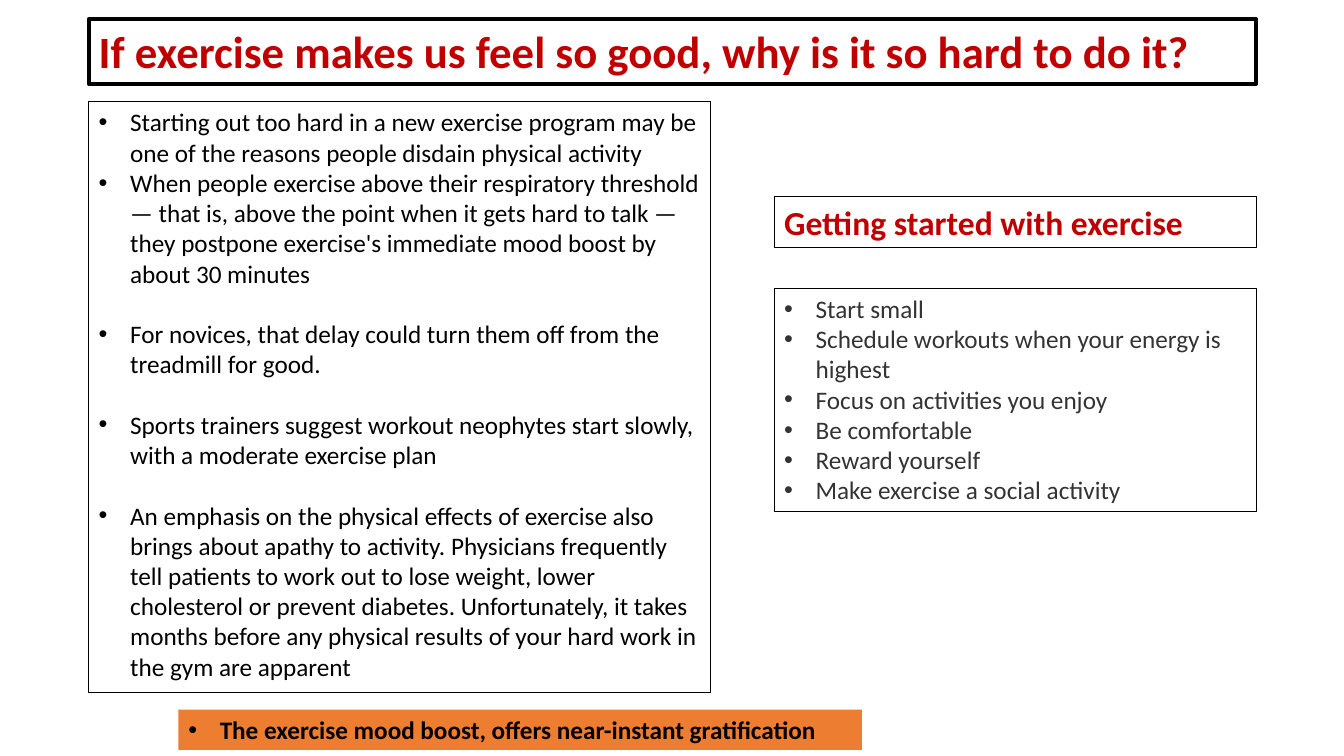
from lxml.etree import SubElement
from pptx import Presentation
from pptx.dml.color import RGBColor
from pptx.enum.shapes import MSO_SHAPE as Preset
from pptx.enum.text import MSO_ANCHOR as Anchor, MSO_AUTO_SIZE as AutoSize, PP_ALIGN as Align
from pptx.oxml.ns import qn
from pptx.util import Pt

BLACK, RED, GREY, ORANGE = "000000", "C00000", "333333", "ED7D31"
LEFT, RIGHT_COLUMN, RIGHT_WIDTH = 63.4, 553, 344.2


def color(value):
    return RGBColor.from_string(value)


def apply(target, values):
    for name, value in values.items():
        setattr(target, name, value)


class ExerciseSlide:
    font = "Calibri"
    indent = 22.5
    frame = {"word_wrap": True, "auto_size": AutoSize.SHAPE_TO_FIT_TEXT,
             "vertical_anchor": Anchor.TOP}

    def __init__(self, deck):
        self.slide = deck.slides.add_slide(deck.slide_layouts[6])

    def box(self, left, top, width, height, border=0.75, fill=None):
        panel = self.slide.shapes.add_shape(
            Preset.RECTANGLE, Pt(left), Pt(top), Pt(width), Pt(height))
        panel.shadow.inherit = False
        if fill:
            panel.fill.solid()
            panel.fill.fore_color.rgb = color(fill)
            panel.line.fill.background()
        else:
            panel.fill.background()
            panel.line.color.rgb = color(BLACK)
            panel.line.width = Pt(border)
        apply(panel.text_frame, self.frame)
        return panel.text_frame

    def wording(self, paragraph, text, size, ink, bold):
        paragraph.alignment = Align.LEFT
        run = paragraph.add_run()
        run.text = text
        apply(run.font, {"name": self.font, "size": Pt(size), "bold": bold})
        run.font.color.rgb = color(ink)

    def heading(self, text, size, *place, border=0.75):
        frame = self.box(*place, border=border)
        self.wording(frame.paragraphs[0], text, size, RED, True)

    def bullets(self, points, *place, ink=BLACK, bold=False, fill=None, spaced=()):
        frame = self.box(*place, fill=fill)
        for index, point in enumerate(points):
            paragraph = frame.add_paragraph() if index else frame.paragraphs[0]
            self.wording(paragraph, point, 18, ink, bold)
            if index in spaced:
                paragraph.space_before = Pt(21.6)
            self.bullet(paragraph)

    def bullet(self, paragraph):
        properties = paragraph._p.get_or_add_pPr()
        properties.set("marL", str(Pt(self.indent)))
        properties.set("indent", str(-Pt(self.indent)))
        SubElement(properties, qn("a:buFont")).set("typeface", "Arial")
        SubElement(properties, qn("a:buChar")).set("char", "•")


def main():
    deck = Presentation()
    apply(deck, {"slide_width": Pt(960), "slide_height": Pt(540)})
    page = ExerciseSlide(deck)

    reasons = [
        "Starting out too hard in a new exercise program may be one of the reasons "
        "people disdain physical activity",
        "When people exercise above their respiratory threshold — that is, above the "
        "point when it gets hard to talk — they postpone exercise's immediate mood "
        "boost by about 30 minutes",
        "For novices, that delay could turn them off from the treadmill for good.",
        "Sports trainers suggest workout neophytes start slowly, with a moderate "
        "exercise plan",
        "An emphasis on the physical effects of exercise also brings about apathy to "
        "activity. Physicians frequently tell patients to work out to lose weight, "
        "lower cholesterol or prevent diabetes. Unfortunately, it takes months before "
        "any physical results of your hard work in the gym are apparent",
    ]
    tips = [
        "Start small",
        "Schedule workouts when your energy is highest",
        "Focus on activities you enjoy",
        "Be comfortable",
        "Reward yourself",
        "Make exercise a social activity",
    ]

    page.bullets(reasons, LEFT, 72.7, 444.2, 421.9, spaced=(2, 3, 4))
    page.bullets(["The exercise mood boost, offers near-instant gratification"],
                 127.4, 506.9, 488.2, 28.8, bold=True, fill=ORANGE)
    page.heading("If exercise makes us feel so good, why is it so hard to do it?", 32,
                 LEFT, 13.7, 833.8, 46.1, border=3)
    page.heading("Getting started with exercise", 24,
                 RIGHT_COLUMN, 140.4, RIGHT_WIDTH, 36.3)
    page.bullets(tips, RIGHT_COLUMN, 205.9, RIGHT_WIDTH, 159.8, ink=GREY)

    deck.save("out.pptx")


if __name__ == "__main__":
    main()
